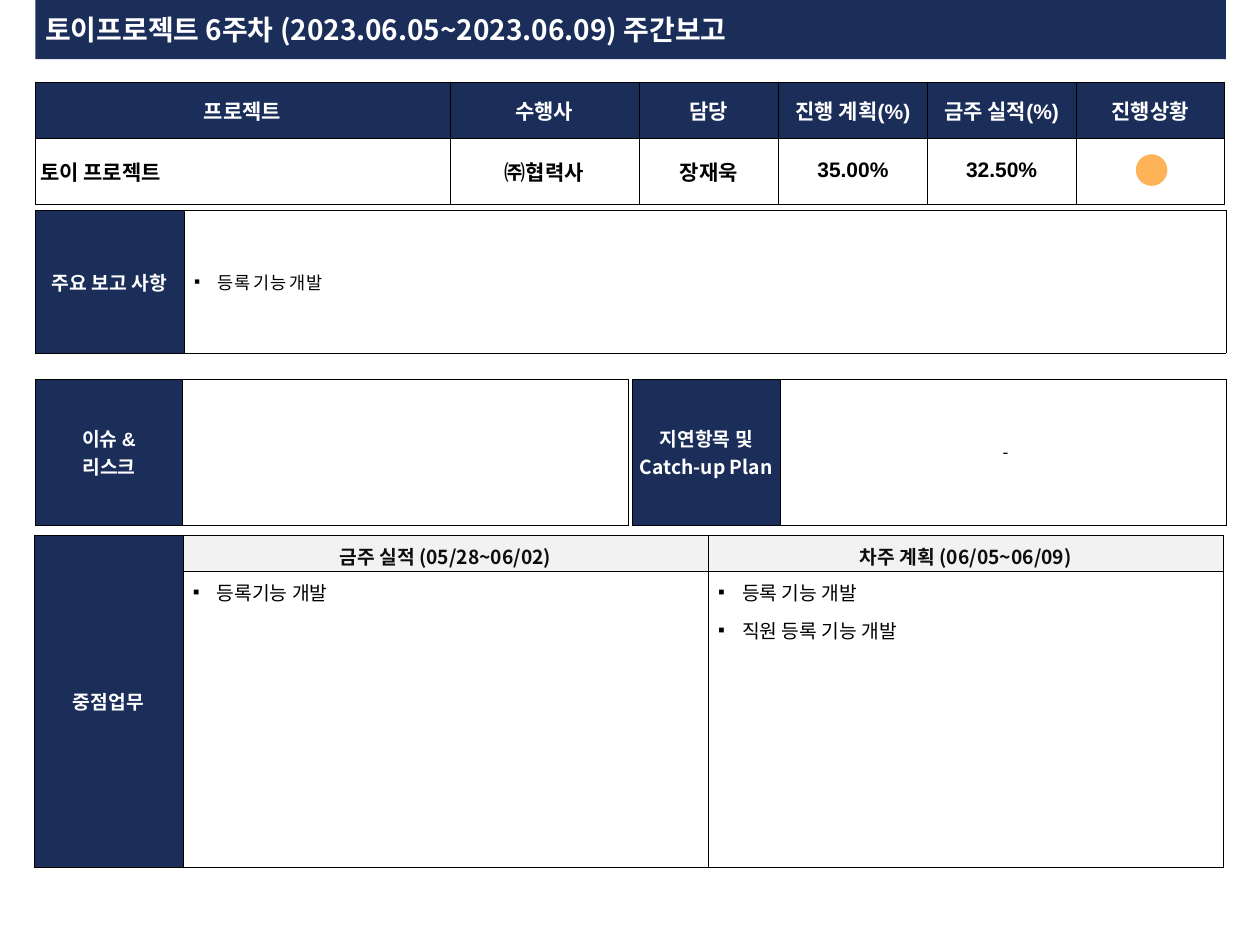
from typing import NamedTuple

from lxml.etree import SubElement
from pptx import Presentation
from pptx.dml.color import RGBColor
from pptx.enum.shapes import MSO_SHAPE
from pptx.enum.text import MSO_ANCHOR, PP_ALIGN
from pptx.oxml.ns import qn
from pptx.util import Inches, Pt

NAVY = RGBColor(0x1B, 0x2E, 0x5A)
WHITE = RGBColor(0xFF, 0xFF, 0xFF)
BLACK = RGBColor(0, 0, 0)
INK = RGBColor(0x0D, 0x0D, 0x0D)
GRAY = RGBColor(0xF2, 0xF2, 0xF2)
AMBER = RGBColor(0xFF, 0xB3, 0x58)
KOREAN = "Noto Sans CJK KR"
LEFT, WIDTH = 0.28, 9.45


class Style(NamedTuple):
    """Look of one kind of table cell."""
    fill: RGBColor = WHITE
    color: RGBColor = BLACK
    size: int = 11
    bold: bool = True
    font: str = "Arial"
    align: PP_ALIGN = PP_ALIGN.CENTER
    anchor: MSO_ANCHOR = MSO_ANCHOR.MIDDLE
    before: float = 0
    after: float = 0
    line: float = 1
    bullet: bool = False
    inset: float = 0.04
    pad: float = 0.05


def format_run(run, size, bold, font, color):
    """Set the Latin and Korean fonts, size, weight and colour of a run."""
    run.font.size, run.font.bold, run.font.name = Pt(size), bold, font
    run.font.color.rgb = color
    SubElement(run.font._element, qn("a:ea"), typeface=KOREAN)


def fill_cell(cell, style, lines):
    """Give a cell its thin border, fill and paragraphs."""
    cell.vertical_anchor = style.anchor
    cell.margin_left, cell.margin_right = Inches(style.inset), Inches(0.04)
    cell.margin_top = cell.margin_bottom = Inches(style.pad)
    props = cell._tc.get_or_add_tcPr()
    for side in ("lnL", "lnR", "lnT", "lnB"):
        edge = SubElement(props, qn(f"a:{side}"), w=str(Pt(0.25)))
        paint = SubElement(edge, qn("a:solidFill"))
        SubElement(paint, qn("a:srgbClr"), val=str(BLACK))
    cell.fill.solid()
    cell.fill.fore_color.rgb = style.fill
    if not lines:
        return
    cell.text_frame.text = "\n".join(lines)
    for paragraph in cell.text_frame.paragraphs:
        paragraph.alignment = style.align
        paragraph.line_spacing = style.line
        paragraph.space_before = Pt(style.before)
        paragraph.space_after = Pt(style.after)
        if style.bullet:
            indent = paragraph._p.get_or_add_pPr()
            indent.set("marL", str(Inches(0.19)))
            indent.set("indent", str(-Inches(0.19)))
            SubElement(indent, qn("a:buFont"), typeface="Arial")
            SubElement(indent, qn("a:buChar"), char="▪")
        for run in paragraph.runs:
            format_run(run, style.size, style.bold, style.font, style.color)


label = Style(NAVY, WHITE)
label_korean = label._replace(font=KOREAN)
heading = label._replace(size=12, before=2.4, pad=0.04)
summary = heading._replace(fill=WHITE, color=BLACK)
project = summary._replace(font=KOREAN, align=PP_ALIGN.LEFT)
vendor = summary._replace(font=KOREAN)
owner = summary._replace(before=6)
percent = summary._replace(line=0.9)
period = Style(GRAY, INK, font=KOREAN, before=2.4)
note = Style(size=10, bold=False, after=6, inset=0.08)
bullet_note = note._replace(align=PP_ALIGN.LEFT, bullet=True)
task = bullet_note._replace(size=11, anchor=MSO_ANCHOR.TOP)
empty = Style()

headings = ["프로젝트", "수행사", "담당", "진행 계획(%)", "금주 실적(%)", "진행상황"]
half_columns = [1.17, 3.54]

# left, top, column widths, row heights, cells as (style, lines)
sections = [
    (LEFT, 0.65, [3.29, 1.5, 1.11] + [1.18] * 3, [0.45, 0.52], [
        [(heading, [text]) for text in headings],
        [(project, ["토이 프로젝트"]), (vendor, ["㈜협력사"]), (owner, ["장재욱"]),
         (percent, ["35.00%"]), (percent, ["32.50%"]), (empty, [])],
    ]),
    (0.27, 4.25, [1.18, 4.17, 4.09], [0.26, 2.35], [
        [(label_korean, ["중점업무"]), (period, ["금주 실적 (05/28~06/02)"]),
         (period, ["차주 계획 (06/05~06/09)"])],
        [(label_korean, []), (task, ["등록기능 개발"]),
         (task, ["등록 기능 개발", "직원 등록 기능 개발"])],
    ]),
    (LEFT, 3.01, half_columns, [1.16], [
        [(label, ["이슈 &", "리스크"]), (empty, [])],
    ]),
    (LEFT, 1.67, [1.18, 8.27], [1.13], [
        [(label, ["주요 보고 사항"]), (bullet_note, ["등록 기능 개발"])],
    ]),
    (5.02, 3.01, half_columns, [1.16], [
        [(label_korean, ["지연항목 및", "Catch-up Plan"]), (note, ["-"])],
    ]),
]

deck = Presentation()
deck.slide_width, deck.slide_height = Inches(10), Inches(7.5)
slide = deck.slides.add_slide(deck.slide_layouts[6])

banner = slide.shapes.add_shape(
    MSO_SHAPE.RECTANGLE, Inches(LEFT), 0, Inches(WIDTH), Inches(0.47))
banner.shadow.inherit = False
banner.fill.solid()
banner.fill.fore_color.rgb = NAVY
banner.line.fill.background()

title = slide.shapes.add_textbox(
    Inches(LEFT), Inches(0.06), Inches(5.85), Inches(0.35))
title.text_frame.text = "토이프로젝트 6주차 (2023.06.05~2023.06.09) 주간보고"
title.text_frame.word_wrap = False
title.text_frame.vertical_anchor = MSO_ANCHOR.MIDDLE
title.text_frame.margin_left = title.text_frame.margin_right = Inches(0.08)
title.text_frame.margin_top = title.text_frame.margin_bottom = Inches(0.04)
format_run(title.text_frame.paragraphs[0].runs[0], 16, True, KOREAN, WHITE)

for left, top, columns, rows, cells in sections:
    table = slide.shapes.add_table(
        len(rows), len(columns), Inches(left), Inches(top),
        Inches(sum(columns)), Inches(sum(rows))).table
    table.first_row = table.horz_banding = False
    for column, width in zip(table.columns, columns):
        column.width = Inches(width)
    for row, height, contents in zip(table.rows, rows, cells):
        row.height = Inches(height)
        for cell, (style, lines) in zip(row.cells, contents):
            fill_cell(cell, style, lines)
    if cells[0][0][1] == ["중점업무"]:
        table.cell(0, 0).merge(table.cell(1, 0))

status = slide.shapes.add_shape(
    MSO_SHAPE.OVAL, Inches(9.02), Inches(1.23), Inches(0.24), Inches(0.24))
status.shadow.inherit = False
status.fill.solid()
status.fill.fore_color.rgb = AMBER
status.line.color.rgb = AMBER
status.line.width = Pt(0.75)

deck.save("out.pptx")
